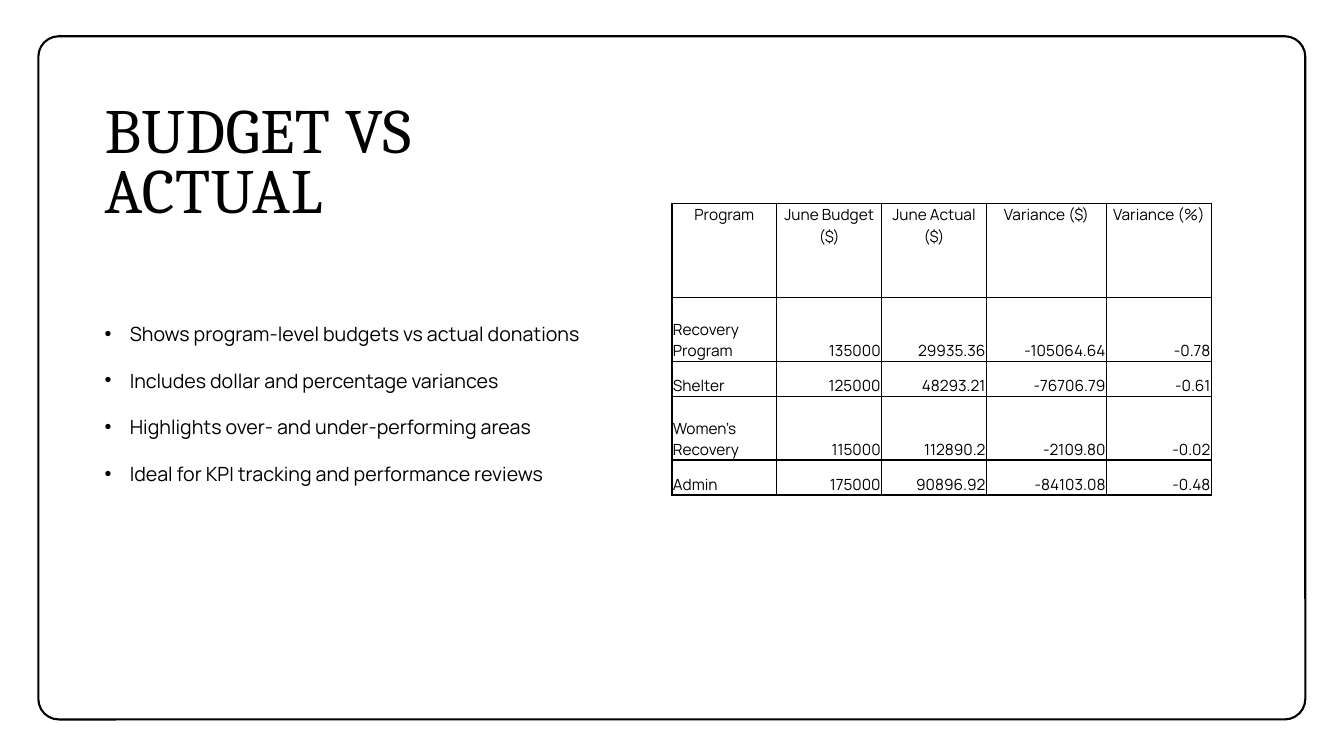
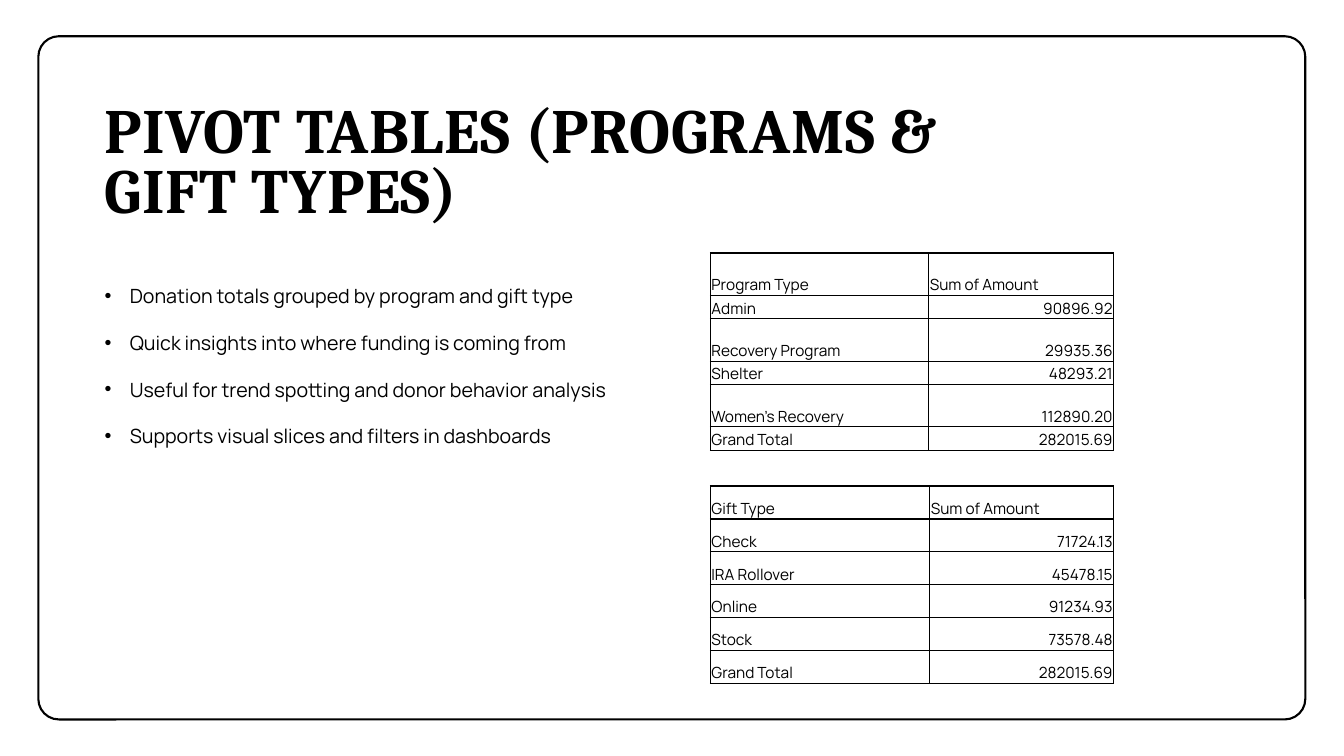
from lxml.etree import SubElement
from pptx import Presentation
from pptx.dml.color import RGBColor
from pptx.enum.shapes import MSO_SHAPE
from pptx.enum.text import MSO_ANCHOR, MSO_AUTO_SIZE, PP_ALIGN
from pptx.oxml import parse_xml
from pptx.oxml.ns import nsdecls, qn
from pptx.util import Pt

BLACK = RGBColor(0x00, 0x00, 0x00)
TITLE_FONT = "Cambria"
BODY_FONT = "Manrope"
LEFT = 67.5
TEXT_WIDTH = 385

BUDGET_ROWS = [
    ["Program", "June Budget ($)", "June Actual ($)", "Variance ($)", "Variance (%)"],
    ["Recovery Program", "135000", "29935.36", "-105064.64", "-0.78"],
    ["Shelter", "125000", "48293.21", "-76706.79", "-0.61"],
    ["Women's Recovery", "115000", "112890.2", "-2109.80", "-0.02"],
    ["Admin", "175000", "90896.92", "-84103.08", "-0.48"],
]
PROGRAM_ROWS = [
    ["Program Type", "Sum of Amount"],
    ["Admin", "90896.92"],
    ["Recovery Program", "29935.36"],
    ["Shelter", "48293.21"],
    ["Women's Recovery", "112890.20"],
    ["Grand Total", "282015.69"],
]
GIFT_ROWS = [
    ["Gift Type", "Sum of Amount"],
    ["Check", "71724.13"],
    ["IRA Rollover", "45478.15"],
    ["Online", "91234.93"],
    ["Stock", "73578.48"],
    ["Grand Total", "282015.69"],
]


def write(para, text, *, size, font=BODY_FONT, bold=False, align=PP_ALIGN.LEFT,
          line_spacing=1.0, space_before=0, tracking=0):
    para.alignment = align
    para.line_spacing = line_spacing
    para.space_before = Pt(space_before)
    span = para.add_run()
    span.text = text
    span.font.name = font
    span.font.size = Pt(size)
    span.font.bold = bold
    span.font.color.rgb = BLACK
    if tracking:
        span.font._element.set("spc", str(int(tracking * 100)))


def place(box, left, top, width, height):
    box.left, box.top, box.width, box.height = map(Pt, (left, top, width, height))
    frame = box.text_frame
    frame.word_wrap = True
    frame.auto_size = MSO_AUTO_SIZE.NONE
    frame.vertical_anchor = MSO_ANCHOR.TOP
    return frame


def add_master_frame(deck, slide):
    """Draw the rounded page frame and move it to the slide master."""
    border = slide.shapes.add_shape(
        MSO_SHAPE.ROUNDED_RECTANGLE, Pt(27.4), Pt(25.9), Pt(905), Pt(488))
    border.adjustments[0] = 0.03
    border.shadow.inherit = False
    border.fill.background()
    border.line.color.rgb = BLACK
    border.line.width = Pt(1.5)
    deck.slide_master.shapes.element.append(border.element)


def add_title(slide, text, *, width, bold=False):
    frame = place(slide.shapes.title, LEFT, 71.3, width, 109.5)
    write(frame.paragraphs[0], text, size=45, font=TITLE_FONT, bold=bold,
          line_spacing=0.8, tracking=0.5)


def add_bullets(slide, items, *, top):
    frame = place(slide.placeholders[1], LEFT, top, TEXT_WIDTH, 468.7 - top)
    for index, item in enumerate(items):
        para = frame.add_paragraph() if index else frame.paragraphs[0]
        properties = para._p.get_or_add_pPr()
        properties.set("marL", str(Pt(18)))
        properties.set("indent", str(-Pt(18)))
        SubElement(properties, qn("a:buFont")).set("typeface", "Arial")
        SubElement(properties, qn("a:buChar")).set("char", "•")
        write(para, item, size=14, line_spacing=1.4, space_before=10 if index else 0)


def add_borders(cell):
    properties = cell._tc.get_or_add_tcPr()
    for index, side in enumerate(("lnL", "lnR", "lnT", "lnB")):
        properties.insert(index, parse_xml(
            f'<a:{side} {nsdecls("a")} w="{Pt(1)}"><a:solidFill>'
            f'<a:srgbClr val="{BLACK}"/></a:solidFill></a:{side}>'))


def add_grid(slide, rows, *, left, top, widths, heights,
             header_align=PP_ALIGN.LEFT, header_anchor=MSO_ANCHOR.BOTTOM):
    table = slide.shapes.add_table(
        len(rows), len(widths), Pt(left), Pt(top), Pt(sum(widths)), Pt(sum(heights))).table
    table.first_row = table.horz_banding = False
    for column, width in zip(table.columns, widths):
        column.width = Pt(width)
    for row_index, (values, height) in enumerate(zip(rows, heights)):
        table.rows[row_index].height = Pt(height)
        for column_index, value in enumerate(values):
            cell = table.cell(row_index, column_index)
            cell.fill.background()
            add_borders(cell)
            cell.margin_left = cell.margin_right = cell.margin_top = Pt(0.7)
            cell.margin_bottom = 0
            cell.vertical_anchor = MSO_ANCHOR.BOTTOM if row_index else header_anchor
            align = PP_ALIGN.RIGHT if column_index else PP_ALIGN.LEFT
            write(cell.text_frame.paragraphs[0], value, size=11,
                  align=align if row_index else header_align)


def build_budget(slide):
    add_title(slide, "BUDGET VS ACTUAL", width=TEXT_WIDTH)
    add_bullets(slide, [
        "Shows program-level budgets vs actual donations",
        "Includes dollar and percentage variances",
        "Highlights over- and under-performing areas",
        "Ideal for KPI tracking and performance reviews",
    ], top=219.3)
    add_grid(slide, BUDGET_ROWS, left=480, top=145.3,
             widths=[74.9, 74.9, 74.9, 85.7, 74.9],
             heights=[67.2, 45.6, 25, 45.6, 25],
             header_align=PP_ALIGN.CENTER, header_anchor=MSO_ANCHOR.TOP)


def build_pivots(slide):
    add_title(slide, "PIVOT TABLES (PROGRAMS & GIFT TYPES)", width=635, bold=True)
    add_bullets(slide, [
        "Donation totals grouped by program and gift type",
        "Quick insights into where funding is coming from",
        "Useful for trend spotting and donor behavior analysis",
        "Supports visual slices and filters in dashboards",
    ], top=192.2)
    add_grid(slide, PROGRAM_ROWS, left=507.5, top=180.7,
             widths=[156, 132], heights=[30.3, 16.7] * 3)
    add_grid(slide, GIFT_ROWS, left=507.5, top=347.2,
             widths=[156.7, 131.3], heights=[23.5] * len(GIFT_ROWS))


def main():
    deck = Presentation()
    deck.slide_width, deck.slide_height = Pt(960), Pt(540)
    layout = deck.slide_layouts[1]
    budget, pivots = (deck.slides.add_slide(layout) for _ in range(2))
    add_master_frame(deck, budget)
    build_budget(budget)
    build_pivots(pivots)
    deck.save("out.pptx")


if __name__ == "__main__":
    main()
